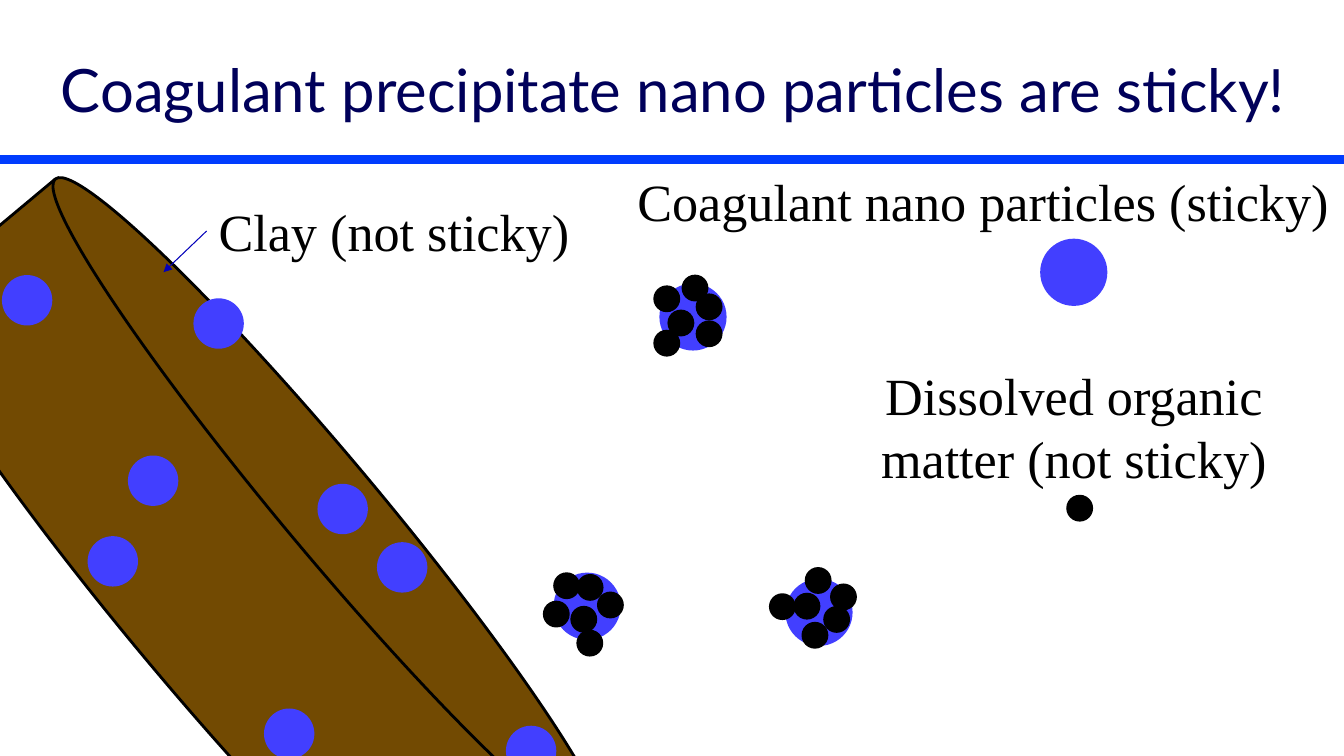
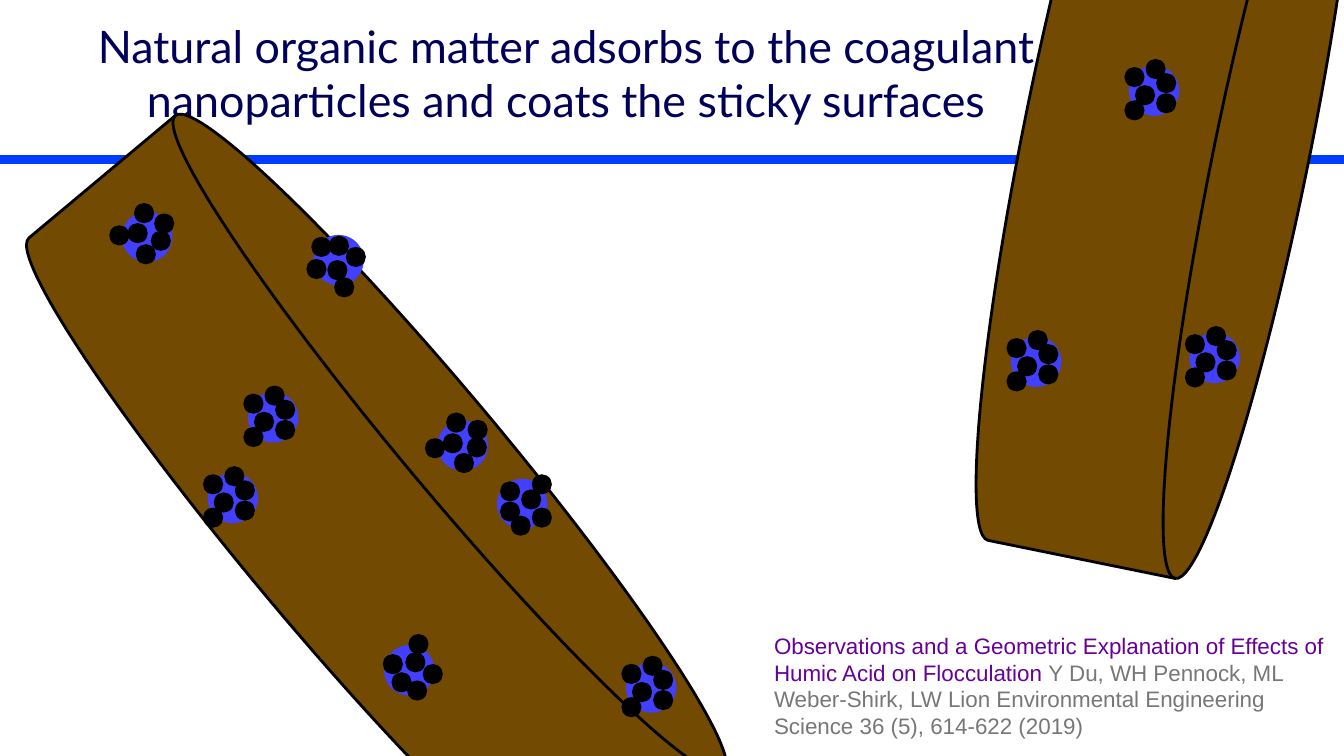
from math import cos, radians, sin
from lxml.etree import SubElement
from pptx import Presentation
from pptx.dml.color import RGBColor
from pptx.enum.shapes import MSO_CONNECTOR, MSO_SHAPE
from pptx.enum.text import MSO_ANCHOR, MSO_AUTO_SIZE, PP_ALIGN
from pptx.oxml.ns import qn
from pptx.util import Pt

WIDTH, HEIGHT = 960, 540
NAVY, RULE_BLUE, ARROW_BLUE = "00005A", "003CFE", "0300BA"
COAGULANT, ORGANIC, CLAY = "423FFF", "000000", "724A02"
BLACK, PURPLE, GRAY = "000000", "660099", "777777"
TITLE_FONT, LABEL_FONT, CITATION_FONT = "Lato", "Times New Roman", "Arial"
LABEL_SIZE = 37.3

LARGE, SMALL = 48, 36
DOT_RATIO = 0.4
DOT_OFFSETS = [(-0.39, -0.27), (-0.39, 0.39), (0.03, -0.43),
               (-0.18, 0.09), (0.24, 0.25), (0.24, -0.15)]

CLAY_WIDTH, CLAY_HEIGHT = 611.3, 204.5
LEFT_SITES = [(409.7, 101.5, 180), (278.6, -72.7, 303.4), (203, 97.2, 0),
              (141.8, -89.3, 48), (501.8, 232.6, 0), (367.2, 59.8, 39.6),
              (329, 220.3, 154.5), (231.8, 39.6, 0)]
RIGHT_SITES = [(296.6, 67, 0), (339.8, 257.8, 0), (212.4, 260.6, 0)]


def color(value):
    return RGBColor.from_string(value)


def points(*lengths):
    return [Pt(length) for length in lengths]


def add_text(page, box, spans, size, font, align=PP_ALIGN.CENTER,
             anchor=MSO_ANCHOR.TOP, wrap=True, grow=True):
    frame = page.shapes.add_textbox(*points(*box)).text_frame
    frame.word_wrap = wrap
    frame.vertical_anchor = anchor
    frame.auto_size = MSO_AUTO_SIZE.SHAPE_TO_FIT_TEXT if grow else MSO_AUTO_SIZE.NONE
    para = frame.paragraphs[0]
    para.alignment = align
    for words, tint in spans:
        span = para.add_run()
        span.text = words
        span.font.size = Pt(size)
        span.font.name = font
        span.font.color.rgb = color(tint)


def add_label(page, box, words, wrap=True):
    add_text(page, box, [(words, BLACK)], LABEL_SIZE, LABEL_FONT, wrap=wrap)


def add_line(page, start, end, tint, weight, arrow=False):
    line = page.shapes.add_connector(MSO_CONNECTOR.STRAIGHT, *points(*start, *end))
    line.line.color.rgb = color(tint)
    line.line.width = Pt(weight)
    if arrow:
        SubElement(line.line._get_or_add_ln(), qn("a:tailEnd"), type="triangle")
    SubElement(line._element.spPr, qn("a:effectLst"))


def add_solid(shapes, kind, box, fill):
    shape = shapes.add_shape(kind, *points(*box))
    shape.shadow.inherit = False
    shape.fill.solid()
    shape.fill.fore_color.rgb = color(fill)
    shape.line.fill.background()
    return shape


def add_particle(shapes, center, size, fill):
    box = (center[0] - size / 2, center[1] - size / 2, size, size)
    add_solid(shapes, MSO_SHAPE.OVAL, box, fill)


def add_coated_particle(shapes, center, size, turn):
    cluster = shapes.add_group_shape().shapes
    add_particle(cluster, center, size, COAGULANT)
    cosine, sine = cos(radians(turn)), sin(radians(turn))
    for across, down in DOT_OFFSETS:
        spot = (center[0] + size * (across * cosine - down * sine),
                center[1] + size * (across * sine + down * cosine))
        add_particle(cluster, spot, size * DOT_RATIO, ORGANIC)


def add_clay(page, left, top, turn, sites, coated):
    group = page.shapes.add_group_shape().shapes
    disk = add_solid(group, MSO_SHAPE.FLOWCHART_MAGNETIC_DISK,
                     (left, top, CLAY_WIDTH, CLAY_HEIGHT), CLAY)
    disk.line.color.rgb = color(BLACK)
    disk.line.width = Pt(2)
    disk.rotation = turn
    for across, down, site_turn in sites:
        center = (left + across, top + down)
        if coated:
            add_coated_particle(group, center, SMALL, site_turn)
        else:
            add_particle(group, center, SMALL, COAGULANT)


def add_page(deck, title, box, size):
    page = deck.slides.add_slide(deck.slide_layouts[6])
    add_line(page, (0, 114), (WIDTH, 114), RULE_BLUE, 6)
    add_text(page, box, [(title, NAVY)], size, TITLE_FONT,
             anchor=MSO_ANCHOR.MIDDLE, grow=False)
    return page


def build_sticky_page(deck):
    page = add_page(deck, "Coagulant precipitate nano particles are sticky!",
                    (36, 18, 890, 90), 42.7)
    add_label(page, (445.7, 117.4, 513.4, 52.6), "Coagulant nano particles (sticky)")
    add_particle(page.shapes, (767, 194.5), LARGE, COAGULANT)
    add_label(page, (604.8, 256.3, 324.7, 97.9), "Dissolved organic matter (not sticky)")
    add_particle(page.shapes, (771.2, 363), LARGE * DOT_RATIO, ORGANIC)
    for across, down, turn in [(495, 226.4, 0), (585, 437.4, 53.8), (419.4, 433, 310.9)]:
        add_coated_particle(page.shapes, (across, down), LARGE, turn)
    add_clay(page, -122.4, 303.8, 50.1, LEFT_SITES, coated=False)
    add_label(page, (147.6, 139, 267.8, 52.6), "Clay (not sticky)", wrap=False)
    add_line(page, (147.6, 165), (116.8, 194.4), ARROW_BLUE, 0.75, arrow=True)


def build_coated_page(deck):
    page = add_page(deck, "Natural organic matter adsorbs to the coagulant "
                    "nanoparticles and coats the sticky surfaces",
                    (56, 7, 697, 90), 32)
    add_clay(page, 527.8, -2.2, 101.5, RIGHT_SITES, coated=True)
    add_clay(page, -36.7, 258.5, 50.1, LEFT_SITES, coated=True)
    citation = [("Observations and a Geometric Explanation of Effects of "
                 "Humic Acid on Flocculation ", PURPLE),
                ("Y Du, WH Pennock, ML Weber-Shirk, LW Lion Environmental "
                 "Engineering Science 36 (5), 614-622 (2019)", GRAY)]
    add_text(page, (545.8, 447.8, 410.4, 85), citation, 16, CITATION_FONT,
             align=PP_ALIGN.LEFT)


deck = Presentation()
deck.slide_width, deck.slide_height = points(WIDTH, HEIGHT)
build_sticky_page(deck)
build_coated_page(deck)
deck.save("out.pptx")
